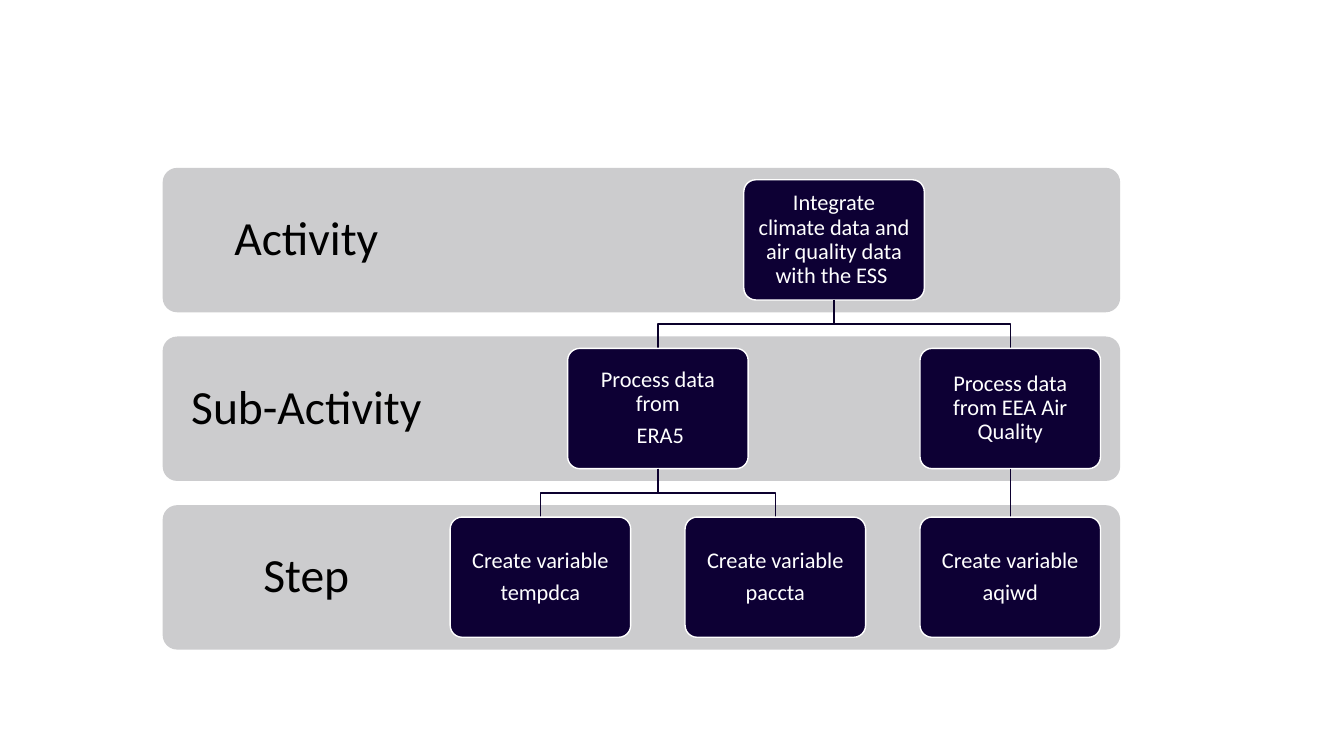
from dataclasses import dataclass

from lxml.etree import SubElement
from pptx import Presentation
from pptx.dml.color import RGBColor
from pptx.enum.shapes import MSO_CONNECTOR, MSO_SHAPE
from pptx.enum.text import MSO_ANCHOR, PP_ALIGN
from pptx.oxml.ns import qn
from pptx.util import Cm, Pt


@dataclass(frozen=True)
class Theme:
    font: str = "Calibri"
    band: RGBColor = RGBColor(0xCC, 0xCC, 0xCE)
    box: RGBColor = RGBColor(0x0D, 0x00, 0x34)
    outline: RGBColor = RGBColor(0xFF, 0xFF, 0xFF)
    branches: tuple = (RGBColor(0x0A, 0x00, 0x2A), RGBColor(0x0C, 0x00, 0x2F))
    label_text: RGBColor = RGBColor(0x00, 0x00, 0x00)
    box_text: RGBColor = RGBColor(0xFF, 0xFF, 0xFF)
    label_size: int = 34
    box_size: int = 16
    line: float = 1


theme = Theme()


def add_rounded(left, top, width, height, fill):
    rounded = slide.shapes.add_shape(
        MSO_SHAPE.ROUNDED_RECTANGLE, Cm(left), Cm(top), Cm(width), Cm(height))
    rounded.adjustments[0] = 0.1
    rounded.shadow.inherit = False
    rounded.fill.solid()
    rounded.fill.fore_color.rgb = fill
    return rounded


def write(frame, text, size, color, inset):
    frame.text = text
    frame.word_wrap = True
    frame.vertical_anchor = MSO_ANCHOR.MIDDLE
    frame.margin_left = frame.margin_right = Cm(inset)
    frame.margin_top = frame.margin_bottom = Cm(inset)
    for paragraph in frame.paragraphs:
        paragraph.alignment = PP_ALIGN.CENTER
        paragraph.line_spacing = 0.9
        paragraph.space_after = Pt(size * 0.35)
        for run in paragraph.runs:
            run.font.name = theme.font
            run.font.size = Pt(size)
            run.font.color.rgb = color


prs = Presentation()
prs.slide_width, prs.slide_height = Cm(33.87), Cm(19.05)
slide = prs.slides.add_slide(prs.slide_layouts[6])

band_left, band_top, band_width, band_height = 4.1, 4.23, 24.13, 3.64
row_pitch, label_width = 4.25, 7.24
box_width, box_height, box_offset = 4.55, 3.03, 0.3
first_column, column_pitch = 13.62, 5.92

levels = ["Activity", "Sub-Activity", "Step"]
for row, level in enumerate(levels):
    top = band_top + row * row_pitch
    band = add_rounded(band_left, top, band_width, band_height, theme.band)
    band.line.fill.background()
    label = slide.shapes.add_textbox(
        Cm(band_left), Cm(top), Cm(label_width), Cm(band_height))
    write(label.text_frame, level, theme.label_size, theme.label_text, 0.66)

columns = [first_column + i * column_pitch for i in range(3)]
era5_center = (columns[0] + columns[1]) / 2
activity_center = (era5_center + columns[2]) / 2
tasks = [
    (0, activity_center, None, "Integrate climate data and air quality data with the ESS "),
    (1, era5_center, activity_center, "Process data from\n ERA5"),
    (1, columns[2], activity_center, "Process data from EEA Air Quality"),
    (2, columns[0], era5_center, "Create variable\ntempdca"),
    (2, columns[1], era5_center, "Create variable\npaccta"),
    (2, columns[2], columns[2], "Create variable\naqiwd"),
]

for row, center, parent_center, text in tasks:
    top = band_top + box_offset + row * row_pitch
    if parent_center is not None:
        start = top - row_pitch + box_height
        middle = (start + top) / 2
        if parent_center == center:
            branch = slide.shapes.add_connector(
                MSO_CONNECTOR.STRAIGHT, Cm(center), Cm(start), Cm(center), Cm(top))
            SubElement(branch.line._get_or_add_ln().getparent(), qn("a:effectLst"))
        else:
            elbow = slide.shapes.build_freeform(Cm(parent_center), Cm(start))
            elbow.add_line_segments(
                [(Cm(parent_center), Cm(middle)), (Cm(center), Cm(middle)),
                 (Cm(center), Cm(top))], close=False)
            branch = elbow.convert_to_shape()
            branch.fill.background()
            branch.shadow.inherit = False
        branch.line.color.rgb = theme.branches[row - 1]
        branch.line.width = Pt(theme.line)

    task = add_rounded(center - box_width / 2, top, box_width, box_height, theme.box)
    task.line.color.rgb = theme.outline
    task.line.width = Pt(theme.line)
    write(task.text_frame, text, theme.box_size, theme.box_text, 0.26)

prs.save("out.pptx")
